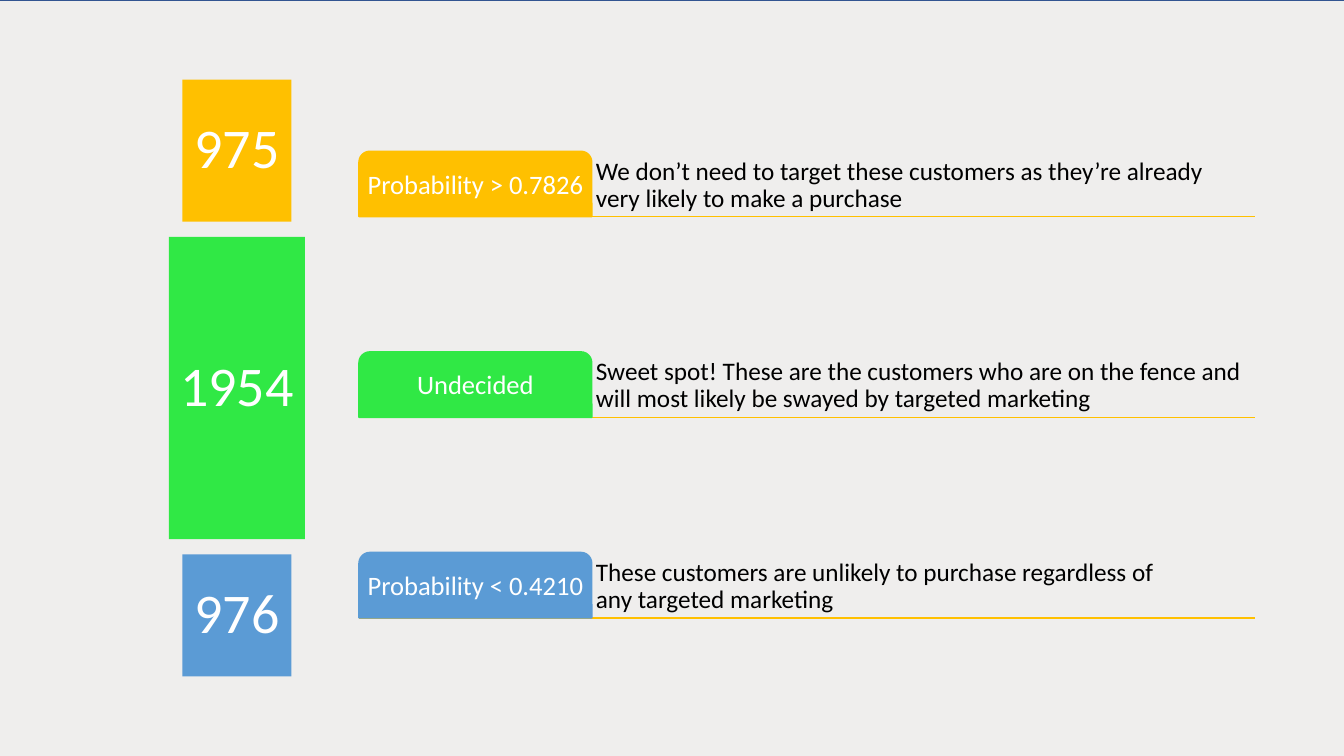
from lxml import etree
from pptx import Presentation
from pptx import util as u
from pptx.dml.color import RGBColor
from pptx.enum import shapes, text
from pptx.oxml.ns import qn

AMBER, GREEN, BLUE = "FFC000", "30E845", "5B9BD5"
WHITE, BLACK = "FFFFFF", "000000"

# count, bar width, bar height, colour, group name, advice
SEGMENTS = [
    ("975", 1.08, 1.41, AMBER, "Probability > 0.7826",
     "We don’t need to target these customers as they’re already "
     "very likely to make a purchase"),
    ("1954", 1.35, 3, GREEN, "Undecided",
     "Sweet spot! These are the customers who are on the fence and "
     "will most likely be swayed by targeted marketing"),
    ("976", 1.08, 1.21, BLUE, "Probability < 0.4210",
     "These customers are unlikely to purchase regardless of \n"
     "any targeted marketing"),
]


def rgb(value):
    """Turn a hex string into a colour."""
    return RGBColor.from_string(value)


def add_block(s, kind, box, fill, line=None):
    """Add a flat preset shape with an optional outline."""
    sp = s.shapes.add_shape(kind, *map(u.Inches, box))
    sp.shadow.inherit = False
    sp.fill.solid()
    sp.fill.fore_color.rgb = rgb(fill)
    if line:
        sp.line.color.rgb = rgb(line)
        sp.line.width = u.Pt(1)
    else:
        sp.line.fill.background()
    return sp


def write(sp, words, size, colour, inset, align, anchor):
    """Fill a shape with one paragraph, breaking it at newlines."""
    tf = sp.text_frame
    tf.word_wrap = True
    tf.vertical_anchor = anchor
    tf.margin_left = tf.margin_right = u.Inches(inset)
    tf.margin_top = tf.margin_bottom = u.Inches(inset)
    p = tf.paragraphs[0]
    p.alignment = align
    p.line_spacing = 0.9
    for i, part in enumerate(words.split("\n")):
        if i:
            p.add_line_break()
        r = p.add_run()
        r.text = part
        r.font.name = "Calibri"
        r.font.size = u.Pt(size)
        r.font.color.rgb = rgb(colour)


def add_rule(s, left, right, y):
    """Draw a thin amber rule."""
    line = s.shapes.add_connector(
        shapes.MSO_CONNECTOR.STRAIGHT,
        u.Inches(left), u.Inches(y), u.Inches(right), u.Inches(y))
    line.line.color.rgb = rgb(AMBER)
    line.line.width = u.Pt(1)
    etree.SubElement(line._element.spPr, qn("a:effectLst"))


def add_count_bars(s, centre, top, gap):
    """Stack the customer counts as bars around a centre line."""
    for count, width, height, colour, _, _ in SEGMENTS:
        bar = add_block(s, shapes.MSO_SHAPE.RECTANGLE,
                        (centre - width / 2, top, width, height), colour)
        write(bar, count, 40, WHITE, 0.11,
              text.PP_ALIGN.CENTER, text.MSO_ANCHOR.MIDDLE)
        top += height + gap


def add_advice_row(s, box, tab_width, colour, name, advice):
    """Place a group tab, its advice and the rule beneath them."""
    left, top, width, height = box
    add_rule(s, left, left + width, top + height)
    tab = add_block(s, shapes.MSO_SHAPE.ROUND_2_SAME_RECTANGLE,
                    (left, top, tab_width, height), colour, colour)
    write(tab, name, 19, WHITE, 0.04,
          text.PP_ALIGN.CENTER, text.MSO_ANCHOR.MIDDLE)
    note = s.shapes.add_textbox(*map(u.Inches, (
        left + tab_width, top, width - tab_width, height)))
    write(note, advice, 18, BLACK, 0.04,
          text.PP_ALIGN.LEFT, text.MSO_ANCHOR.BOTTOM)


def add_advice_list(s, left, top, width, pitch):
    """Lay out one advice row per segment at an even pitch."""
    for i, (_, _, _, colour, name, advice) in enumerate(SEGMENTS):
        add_advice_row(s, (left, top + i * pitch, width, 0.65), 2.31,
                       colour, name, advice)


def build():
    """Build the customer targeting slide and save it."""
    prs = Presentation()
    prs.slide_width, prs.slide_height = u.Inches(13.33), u.Inches(7.5)
    s = prs.slides.add_slide(prs.slide_layouts[6])
    add_block(s, shapes.MSO_SHAPE.RECTANGLE,
              (-0.34, 0, 14.02, 7.82), "EFEEED", "325491")
    add_count_bars(s, centre=2.35, top=0.79, gap=0.15)
    add_advice_list(s, left=3.56, top=1.5, width=8.89, pitch=1.99)
    prs.save("out.pptx")


build()
